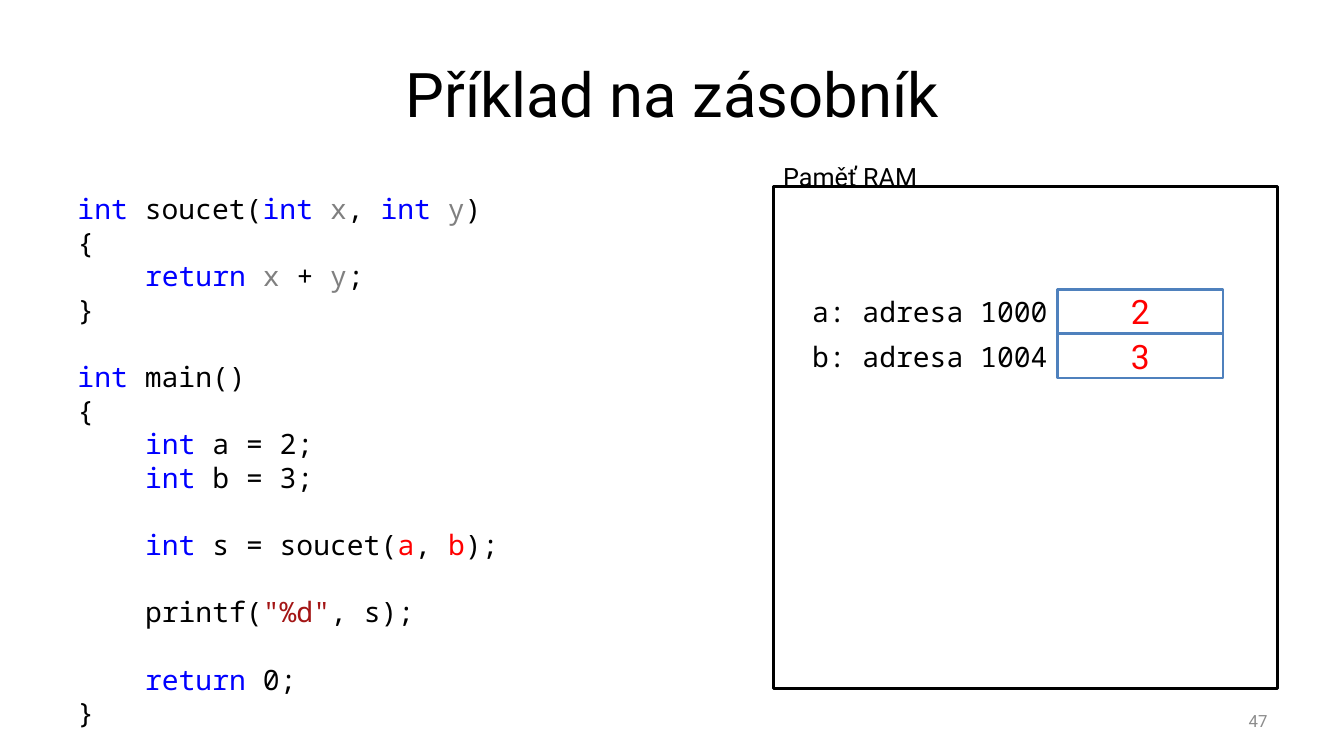
"""Build a slide showing a C program beside the variables on its stack."""
import pptx
import pptx.dml.color
import pptx.enum.shapes
import pptx.enum.text
import pptx.util

Inches = pptx.util.Inches
Pt = pptx.util.Pt
RGBColor = pptx.dml.color.RGBColor
ALIGN = pptx.enum.text.PP_ALIGN
ANCHOR = pptx.enum.text.MSO_ANCHOR

BLACK = RGBColor(0x00, 0x00, 0x00)
WHITE = RGBColor(0xFF, 0xFF, 0xFF)
GRAY = RGBColor(0x8C, 0x8C, 0x8C)
CELL_BLUE = RGBColor(0x4F, 0x81, 0xBD)
KEYWORD = RGBColor(0x00, 0x00, 0xFF)
PARAM = RGBColor(0x80, 0x80, 0x80)
STRING = RGBColor(0xA3, 0x15, 0x15)
RED = RGBColor(0xFF, 0x00, 0x00)

SANS = "Roboto"
MONO = "Noto Sans Mono"
CODE_SIZE = 20
CODE_LEADING = Pt(24)
CODE_INDENT = Inches(0.67)

INT = ("int ", KEYWORD)
CODE_BLOCKS = [
    [
        (0, [INT, ("soucet(", BLACK), INT, ("x", PARAM), (", ", BLACK), INT,
             ("y", PARAM), (")", BLACK)]),
        (0, [("{", BLACK)]),
        (1, [("return ", KEYWORD), ("x", PARAM), (" + ", BLACK),
             ("y", PARAM), (";", BLACK)]),
        (0, [("}", BLACK)]),
    ],
    [
        (0, [INT, ("main()", BLACK)]),
        (0, [("{", BLACK)]),
        (1, [INT, ("a = 2;", BLACK)]),
        (1, [INT, ("b = 3;", BLACK)]),
    ],
    [(1, [INT, ("s = soucet(", BLACK), ("a", RED), (", ", BLACK),
          ("b", RED), (");", BLACK)])],
    [(1, [("printf(", BLACK), ('"%d"', STRING), (", s);", BLACK)])],
    [
        (1, [("return ", KEYWORD), ("0;", BLACK)]),
        (0, [("}", BLACK)]),
    ],
]
VARIABLES = [("a: adresa 1000", "2"), ("b: adresa 1004", "3")]


def write(p, text, size=CODE_SIZE, font=SANS, color=BLACK, align=None):
    """Add a formatted run to a paragraph."""
    if align is not None:
        p.alignment = align
    r = p.add_run()
    r.text = text
    r.font.size = Pt(size)
    r.font.name = font
    r.font.color.rgb = color


def place(sp, left, top, width, height):
    """Set the position and size of a shape in inches."""
    sp.left, sp.top = Inches(left), Inches(top)
    sp.width, sp.height = Inches(width), Inches(height)


def add_text_box(s, left, top, width, height, anchor=ANCHOR.TOP):
    """Add a wrapping text box and return its text frame."""
    sp = s.shapes.add_textbox(Inches(left), Inches(top), Inches(width), Inches(height))
    tf = sp.text_frame
    tf.word_wrap = True
    tf.vertical_anchor = anchor
    return tf


def add_box(s, left, top, width, height, line):
    """Add a white outlined rectangle and return its text frame."""
    sp = s.shapes.add_shape(pptx.enum.shapes.MSO_SHAPE.RECTANGLE, Inches(left),
                            Inches(top), Inches(width), Inches(height))
    sp.shadow.inherit = False
    sp.fill.solid()
    sp.fill.fore_color.rgb = WHITE
    sp.line.color.rgb = line
    sp.line.width = Pt(2)
    tf = sp.text_frame
    tf.vertical_anchor = ANCHOR.MIDDLE
    return tf


def add_title(s, text):
    """Fill and place the title placeholder."""
    sp = s.shapes.title
    place(sp, 0.67, 0.3, 12, 1.25)
    sp.text_frame.vertical_anchor = ANCHOR.MIDDLE
    write(sp.text_frame.paragraphs[0], text, size=44, align=ALIGN.CENTER)


def add_variable(s, top, label, value):
    """Add a memory cell with its address label on the left."""
    height = 0.44
    cell = add_box(s, 10.49, top, 1.64, height, CELL_BLUE)
    write(cell.paragraphs[0], value, size=24, color=RED, align=ALIGN.CENTER)
    tf = add_text_box(s, 7.91, top, 2.58, height, ANCHOR.MIDDLE)
    write(tf.paragraphs[0], label, font=MONO, align=ALIGN.RIGHT)


def add_code(s, blocks):
    """Add the code listing with a one-line gap between blocks."""
    tf = add_text_box(s, 0.67, 1.85, 6.67, 5.49)
    p = tf.paragraphs[0]
    for b, block in enumerate(blocks):
        for i, (level, runs) in enumerate(block):
            if b or i:
                p = tf.add_paragraph()
            p.line_spacing = CODE_LEADING
            p.space_before = CODE_LEADING if b and i == 0 else Pt(0)
            pPr = p._p.get_or_add_pPr()
            pPr.set("marL", str(level * CODE_INDENT))
            pPr.set("indent", "0")
            for text, color in runs:
                write(p, text, font=MONO, color=color)


def main():
    """Assemble and save the slide."""
    prs = pptx.Presentation()
    prs.slide_width, prs.slide_height = Inches(13.33), Inches(7.5)
    s = prs.slides.add_slide(prs.slide_layouts[5])
    add_title(s, "Příklad na zásobník")
    number = add_text_box(s, 9.56, 6.95, 3.11, 0.4, ANCHOR.MIDDLE)
    write(number.paragraphs[0], "47", size=12, color=GRAY, align=ALIGN.RIGHT)
    add_box(s, 7.67, 1.85, 5, 4.98, BLACK)
    label = add_text_box(s, 7.67, 1.55, 1.86, 0.4)
    write(label.paragraphs[0], "Paměť RAM", size=18)
    for i, (address, value) in enumerate(VARIABLES):
        add_variable(s, 2.87 + i * 0.44, address, value)
    add_code(s, CODE_BLOCKS)
    prs.save("out.pptx")


if __name__ == "__main__":
    main()
